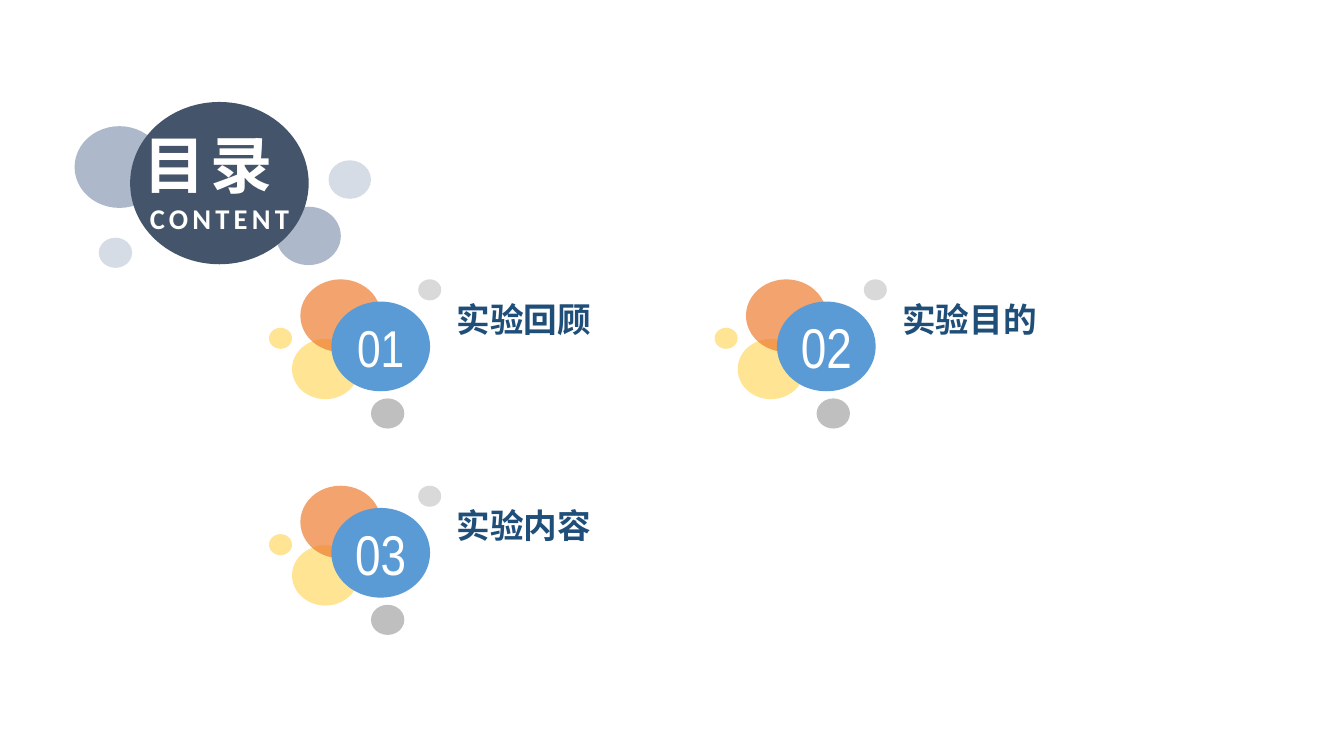
from lxml.etree import SubElement
from pptx import Presentation
from pptx.dml.color import RGBColor
from pptx.enum.shapes import MSO_SHAPE
from pptx.enum.text import MSO_ANCHOR, MSO_AUTO_SIZE, PP_ALIGN
from pptx.oxml.ns import qn
from pptx.util import Cm, Pt

HEX = {
    "navy": "44546A", "slate": "ADB9CA", "mist": "D6DCE5",
    "gold": "FFD966", "orange": "ED7D31", "blue": "5B9BD5",
    "grey": "A5A5A5", "silver": "C9C9C9", "ink": "1F4E79", "white": "FFFFFF",
}
CJK = "Noto Sans CJK SC"

# number, number size, label, column, row
ITEMS = [
    ("01", 37, "实验回顾", 0, 0),
    ("03", 40, "实验内容", 0, 1),
    ("02", 40, "实验目的", 1, 0),
]
# left, top, width, height in cm, colour, opacity in percent
HEAD = [
    (2.49, 5.99, 0.84, 0.76, "mist", 100),
    (6.96, 5.21, 1.63, 1.47, "slate", 100),
    (1.88, 3.18, 2.26, 2.06, "slate", 100),
    (3.28, 2.57, 4.5, 4.09, "navy", 100),
    (8.28, 4.04, 1.07, 0.97, "mist", 100),
]
BACK = [
    (0.58, 1.5, 1.68, 1.52, "gold", 70),
    (0.79, 0, 2.03, 1.83, "orange", 70),
]
DISC = (1.57, 0.56, 2.49, 2.26, "blue", 100)
DOTS = [
    (2.57, 3, 0.84, 0.76, "grey", 70),
    (0, 1.22, 0.58, 0.53, "gold", 70),
    (3.76, 0, 0.58, 0.53, "silver", 70),
]
LABEL = (3.73, 0, 6.99, 1.5)
LEFT, TOP = 6.78, 7.04
STEP_X, STEP_Y = 11.23, 5.2


def bubble(group, spec, x=0, y=0):
    left, top, width, height, color, alpha = spec
    oval = group.shapes.add_shape(
        MSO_SHAPE.OVAL, Cm(x + left), Cm(y + top), Cm(width), Cm(height))
    oval.shadow.inherit = False
    oval.fill.solid()
    oval.fill.fore_color.rgb = RGBColor.from_string(HEX[color])
    oval.line.fill.background()
    if alpha < 100:
        tone = oval.fill._xPr.find(".//" + qn("a:srgbClr"))
        SubElement(tone, qn("a:alpha")).set("val", str(alpha * 1000))
    return oval


def set_frame(shape, anchor, align):
    frame = shape.text_frame
    frame.auto_size = MSO_AUTO_SIZE.NONE
    frame.word_wrap = False
    frame.vertical_anchor = anchor
    frame.paragraphs[0].alignment = align
    return frame


def add_run(para, text, size, color, font, bold=False, gap=0):
    run = para.add_run()
    run.text = text
    run.font.size = Pt(size)
    run.font.bold = bold
    run.font.name = font
    run.font.color.rgb = RGBColor.from_string(HEX[color])
    props = run.font._element
    SubElement(props, qn("a:ea")).set("typeface", CJK)
    if gap:
        props.set("spc", str(gap * 100))


def add_item(slide, number, size, text, col, row):
    x, y = LEFT + col * STEP_X, TOP + row * STEP_Y
    group = slide.shapes.add_group_shape()
    for spec in BACK:
        bubble(group, spec, x, y)
    disc = bubble(group, DISC, x, y)
    frame = set_frame(disc, MSO_ANCHOR.MIDDLE, PP_ALIGN.CENTER)
    frame.margin_left = frame.margin_right = 0
    frame.margin_top = frame.margin_bottom = 0
    add_run(frame.paragraphs[0], number, size, "white", "Arial Narrow")
    for spec in DOTS:
        bubble(group, spec, x, y)

    left, top, width, height = LABEL
    box = group.shapes.add_textbox(
        Cm(x + left), Cm(y + top), Cm(width), Cm(height))
    frame = set_frame(box, MSO_ANCHOR.BOTTOM, PP_ALIGN.LEFT)
    frame.margin_left = Cm(1)
    frame.margin_top = frame.margin_right = frame.margin_bottom = 0
    add_run(frame.paragraphs[0], text, 24, "ink", CJK, bold=True)


def add_head(slide):
    group = slide.shapes.add_group_shape()
    for spec in HEAD:
        bubble(group, spec)
    title = slide.shapes.title
    title.left, title.top = Cm(3.28), Cm(2.57)
    title.width, title.height = Cm(4.5), Cm(3.49)
    para = set_frame(title, MSO_ANCHOR.BOTTOM, PP_ALIGN.CENTER).paragraphs[0]
    add_run(para, "目录 ", 44.4, "white", "Calibri", bold=True, gap=3)
    para.add_line_break()
    add_run(para, "CONTENT", 20.4, "white", "Calibri", bold=True, gap=3)
    slide.shapes._spTree.append(title._element)  # bring to front


def main():
    deck = Presentation()
    deck.slide_width, deck.slide_height = Cm(33.87), Cm(19.05)
    slide = deck.slides.add_slide(deck.slide_layouts[5])
    for item in ITEMS:
        add_item(slide, *item)
    add_head(slide)
    deck.save("out.pptx")


if __name__ == "__main__":
    main()
